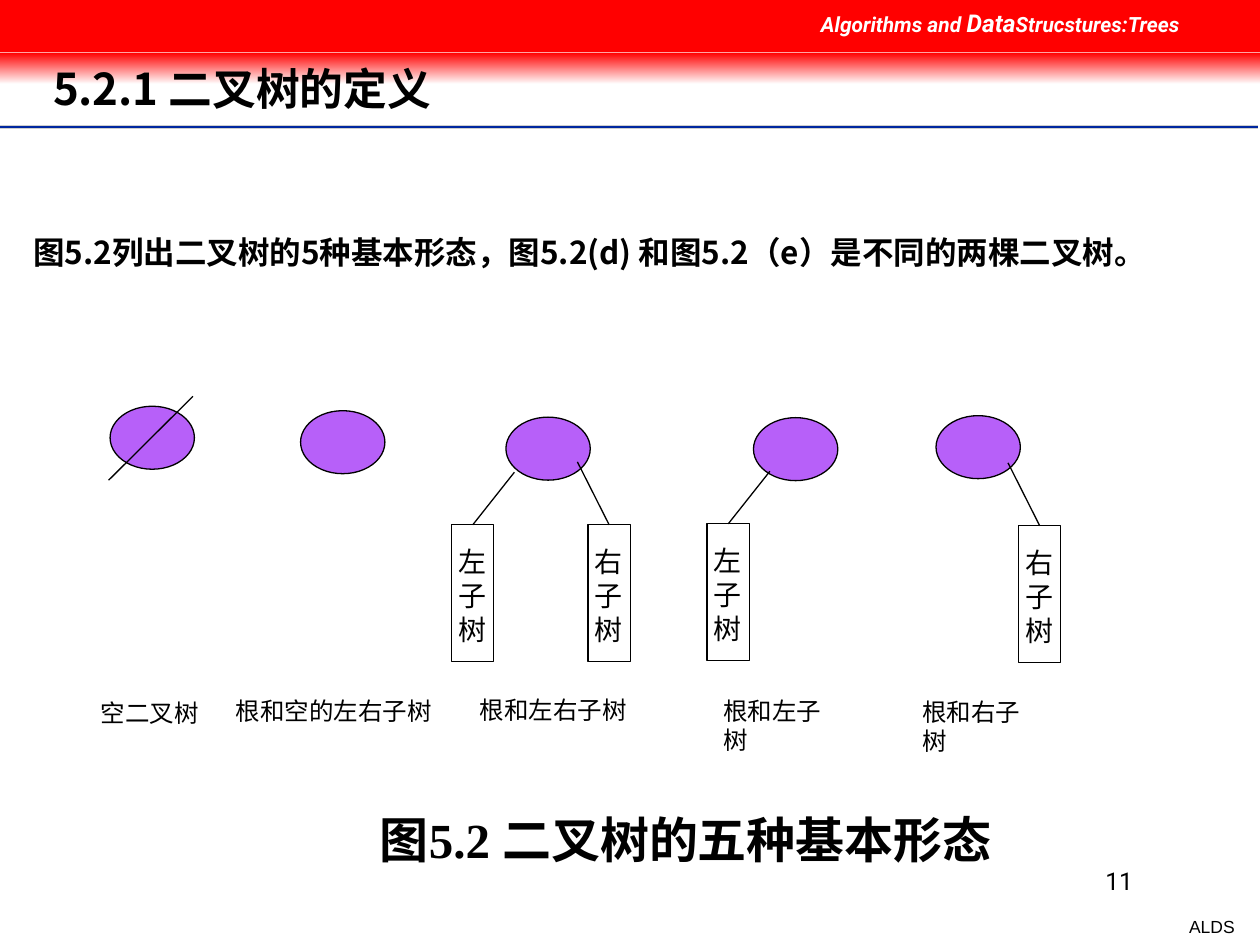
from dataclasses import dataclass, field
from typing import Any, NamedTuple

from lxml.etree import SubElement
from pptx import Presentation
from pptx.dml.color import RGBColor
from pptx.enum.shapes import MSO_CONNECTOR as Link, MSO_SHAPE as Form
from pptx.enum.text import PP_ALIGN as Align
from pptx.oxml.ns import qn
from pptx.util import Cm, Pt

RED = RGBColor(0xFF, 0x00, 0x00)
WHITE = RGBColor(0xFF, 0xFF, 0xFF)
BLACK = RGBColor(0x00, 0x00, 0x00)
GREY = RGBColor(0xCE, 0xCE, 0xCE)
BLUE = RGBColor(0x00, 0x27, 0x9F)
VIOLET = RGBColor(0xB7, 0x60, 0xF9)

HAN = "Noto Sans CJK SC"
TIMES = "Times New Roman"
PITCH = 1.2
NODE_W, NODE_H = 1.7, 1.27
BOX_W, BOX_H = 0.85, 2.75
EDGES = {"左": (0.84, 1.06), "右": (-0.64, 1.27)}


class Area(NamedTuple):
    left: float
    top: float
    width: float
    height: float


class Run(NamedTuple):
    text: str
    size: float
    face: str


class Kid(NamedTuple):
    side: str
    mid: float
    top: float


@dataclass
class Tree:
    left: float
    top: float
    label: str
    area: Area
    kids: list[Kid] = field(default_factory=list)
    empty: bool = False


TREES = [
    Tree(2.22, 8.19, "空二叉树", Area(1.78, 13.94, 2.84, 0.9), empty=True),
    Tree(6.06, 8.28, "根和空的左右子树", Area(4.5, 13.9, 4.65, 0.9)),
    Tree(10.2, 8.41, "根和左右子树", Area(9.42, 13.88, 3.48, 0.9),
         [Kid("左", 9.53, 10.58), Kid("右", 12.28, 10.58)]),
    Tree(15.19, 8.42, "根和左子树", Area(14.33, 13.9, 2.97, 0.9),
         [Kid("左", 14.68, 10.56)]),
    Tree(18.87, 8.38, "根和右子树", Area(18.34, 13.92, 2.97, 0.9),
         [Kid("右", 20.96, 10.6)]),
]


def style(item: Any, form: dict[str, Any]) -> None:
    for name, value in form.items():
        setattr(item, name, value)


def place(area: Area) -> list[Cm]:
    return [Cm(part) for part in area]


def write(slide: Any, area: Area, lines: list[list[Run]], align: Any = Align.LEFT,
          inset: float = 0.25, wrap: bool = True, **form: Any) -> None:
    frame = slide.shapes.add_textbox(*place(area)).text_frame
    side, end = Cm(inset), Cm(inset / 2)
    style(frame, {"word_wrap": wrap, "margin_left": side, "margin_right": side,
                  "margin_top": end, "margin_bottom": end})
    for rank, line in enumerate(lines):
        para = frame.add_paragraph() if rank else frame.paragraphs[0]
        high = max(run.size for run in line)
        style(para, {"alignment": align, "line_spacing": Pt(high * PITCH)})
        for text, size, face in line:
            run = para.add_run()
            run.text = text
            style(run.font, {"size": Pt(size), "name": face, **form})
            run.font.color.rgb = form_color(form, run)
            SubElement(run.font._element, qn("a:ea"), typeface=HAN)


def form_color(form: dict[str, Any], run: Any) -> RGBColor:
    return WHITE if form.get("italic") else BLACK


def draw(slide: Any, kind: Any, area: Area, fill: RGBColor | None = None,
         edge: RGBColor | None = None) -> Any:
    shape = slide.shapes.add_shape(kind, *place(area))
    shape.shadow.inherit = False
    if fill is None:
        shape.fill.background()
    else:
        shape.fill.solid()
        shape.fill.fore_color.rgb = fill
    if edge is None:
        shape.line.fill.background()
    else:
        shape.line.color.rgb = edge
        shape.line.width = Pt(0.75)
    return shape


def join(slide: Any, x1: float, y1: float, x2: float, y2: float,
         color: RGBColor = BLACK, width: float = 0.75) -> None:
    line = slide.shapes.add_connector(Link.STRAIGHT, Cm(x1), Cm(y1), Cm(x2), Cm(y2))
    line.line.color.rgb = color
    line.line.width = Pt(width)
    SubElement(line._element.spPr, qn("a:effectLst"))


def frame_page(slide: Any) -> None:
    for y, color, width in [(2.56, GREY, 2), (2.56, BLUE, 1), (2.61, WHITE, 1)]:
        join(slide, 0, y, 25.35, y, color, width)
    fade = draw(slide, Form.RECTANGLE, Area(0, 1.06, 25.4, 0.64), RED).fill
    fade.gradient()
    fade.gradient_angle = 270
    for stop, color, spot in zip(fade.gradient_stops, (RED, WHITE), (0, 1)):
        stop.color.rgb = color
        stop.position = spot
    draw(slide, Form.RECTANGLE, Area(0, 0, 25.4, 1.06), RED)
    head = [Run("Algorithms and ", 12, "Roboto"), Run("Data", 14, "Roboto"),
            Run("Strucstures:Trees", 12, "Roboto")]
    write(slide, Area(16.3, 0.04, 9.1, 0.86), [head], bold=True, italic=True)
    write(slide, Area(18.21, 17.33, 4.88, 1.27), [[Run("11", 14, "Roboto")]], Align.RIGHT)
    write(slide, Area(23.72, 18.34, 1.42, 0.69), [[Run("ALDS", 10, "Arial")]],
          Align.RIGHT, wrap=False)


def plant(slide: Any, tree: Tree) -> None:
    draw(slide, Form.OVAL, Area(tree.left, tree.top, NODE_W, NODE_H), VIOLET, BLACK)
    if tree.empty:
        join(slide, tree.left + 1.67, tree.top - 0.2, tree.left - 0.03, tree.top + 1.49)
    for side, mid, top in tree.kids:
        dx, dy = EDGES[side]
        join(slide, mid + dx, top - dy, mid, top)
        draw(slide, Form.RECTANGLE, Area(mid - BOX_W / 2, top, BOX_W, BOX_H), edge=BLACK)
        write(slide, Area(mid - 0.54, top + 0.28, 1.07, 2.18),
              [[Run(sign, 16, TIMES)] for sign in side + "子树"], Align.JUSTIFY)
    write(slide, tree.area, [[Run(tree.label, 14, TIMES)]], wrap=False)


def main() -> None:
    deck = Presentation()
    style(deck, {"slide_width": Cm(25.4), "slide_height": Cm(19.05)})
    slide = deck.slides.add_slide(deck.slide_layouts[6])
    frame_page(slide)
    write(slide, Area(1.07, 1.24, 23.27, 1.1), [[Run("5.2.1 二叉树的定义", 25, HAN)]],
          inset=0, bold=True)
    body = "图5.2列出二叉树的5种基本形态，图5.2(d) 和图5.2（e）是不同的两棵二叉树。"
    write(slide, Area(0.42, 4.58, 24.34, 1.8), [[Run(body, 18, HAN)]], bold=True)
    for tree in TREES:
        plant(slide, tree)
    title = [Run("图5.2 二叉树的", 28, TIMES), Run("五种基本形态", 28, HAN)]
    write(slide, Area(7.41, 16.2, 13.12, 2.64), [title], bold=True)
    deck.save("out.pptx")


if __name__ == "__main__":
    main()
